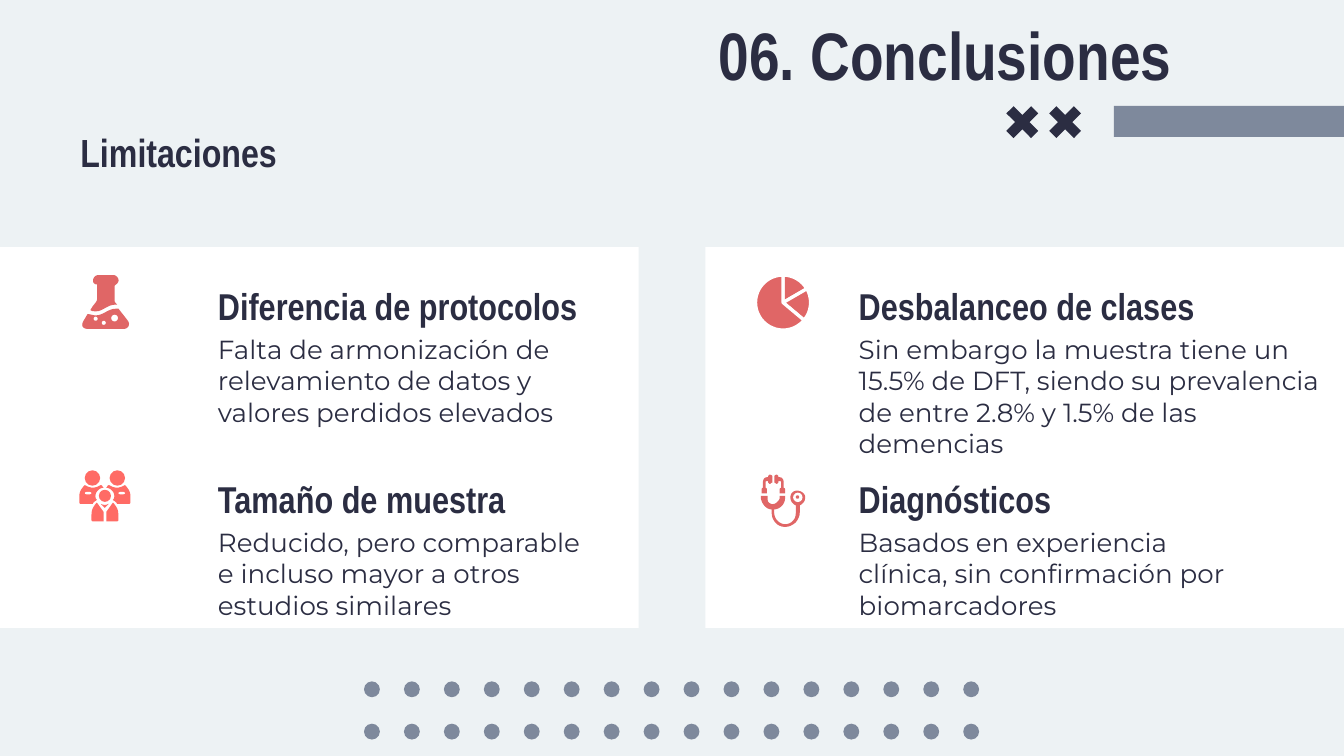
from pptx import Presentation
from pptx.dml.color import RGBColor
from pptx.enum.shapes import MSO_SHAPE
from pptx.enum.text import MSO_ANCHOR, MSO_AUTO_SIZE, PP_ALIGN
from pptx.util import Cm, Pt

PAPER = RGBColor(0xED, 0xF2, 0xF4)
WHITE = RGBColor(0xFF, 0xFF, 0xFF)
GREY = RGBColor(0x7E, 0x89, 0x9C)
NAVY = RGBColor(0x2B, 0x2D, 0x42)
RED = RGBColor(0xE0, 0x66, 0x66)
CORAL = RGBColor(0xFF, 0x6B, 0x65)
HEAD, BODY = "Arial Narrow", "Montserrat"
GRID = 0.0254  # icon grid step in cm
FINE = 10  # outline points per grid step

# Icon outlines on the grid: pairs are corners, sixes are Bezier curves
FLASK_NECK = [(13, 0), (11, 0, 9, 2, 9, 4), (9, 6, 10, 7, 12, 7), (12, 18),
              (12, 20, 10, 21, 7, 26), (8, 27, 10, 27, 11, 27),
              (17, 27, 19, 22, 26, 22), (27, 22), (26, 21, 25, 20, 25, 19),
              (25, 8), (26, 7, 28, 6, 28, 4), (28, 2, 26, 0, 24, 0)]
FLASK_BASE = [(26, 25), (20, 25, 17, 30, 11, 30), (9, 30, 7, 29, 5, 29),
              (2, 34), (0, 37, 1, 40, 5, 40), (32, 40),
              (35, 40, 37, 37, 35, 34), (28, 25)]
BACK_BODY = [(4, 11), (2, 13, 0, 16, 0, 19), (0, 23), (0, 24, 0, 25, 1, 25),
             (10, 25), (10, 24, 12, 23, 13, 22), (12, 21, 12, 20, 12, 19),
             (12, 16, 15, 13, 18, 13), (17, 12, 17, 11, 16, 11),
             (14, 12, 12, 13, 10, 13), (8, 13, 6, 12, 4, 11)]
FRONT_BODY = [(13, 24), (11, 26, 9, 29, 9, 33), (9, 37),
              (9, 38, 10, 38, 10, 38), (18, 38), (18, 31)]
COLLAR = [(16, 25), (19, 28), (22, 25), (20, 26, 18, 26, 16, 25)]
EARPIECE = [(12, 0), (11, 0, 10, 1, 10, 1), (10, 6), (11, 6, 11, 7, 12, 7),
            (12, 7, 13, 6, 13, 6), (13, 5), (14, 5), (15, 5, 15, 5, 15, 6),
            (15, 10), (14, 10, 14, 11, 14, 11), (14, 14), (18, 14), (18, 11),
            (18, 11, 18, 10, 17, 10), (17, 6), (17, 4, 16, 2, 14, 2),
            (13, 2), (13, 1), (13, 1, 12, 0, 12, 0)]
TUBE = [(27, 12), (24, 12, 22, 14, 22, 17), (22, 20, 24, 22, 26, 23),
        (26, 29), (26, 33, 23, 37, 18, 37), (14, 37, 10, 33, 10, 29),
        (10, 26), (14, 26, 18, 22, 18, 18), (18, 16), (14, 16), (14, 18),
        (13, 20, 11, 22, 9, 22), (7, 22, 5, 21, 5, 18), (5, 16), (0, 16),
        (0, 18), (1, 22, 4, 26, 8, 26), (8, 28), (8, 34, 12, 39, 18, 39),
        (24, 39, 29, 34, 29, 28), (29, 23), (31, 22, 33, 20, 33, 17),
        (33, 14, 30, 12, 27, 12)]


def paint(sp, color):
    sp.shadow.inherit = False
    sp.fill.solid()
    sp.fill.fore_color.rgb = color
    sp.line.fill.background()
    return sp


def preset(shapes, kind, x, y, w, h, color):
    return paint(shapes.add_shape(kind, Cm(x), Cm(y), Cm(w), Cm(h)), color)


def dot(shapes, x, y, left, top, w, color, h=None):
    """Ellipse measured on the grid of the icon at x, y."""
    preset(shapes, MSO_SHAPE.OVAL, x + left * GRID, y + top * GRID,
           w * GRID, (h or w) * GRID, color)


def outline(shapes, x, y, path, color, mirror=None):
    """Closed outline; mirror is the width to flip it across."""
    pts = []
    for step in path:
        if len(step) == 2:
            pts.append(step)
            continue
        curve = [pts[-1], step[:2], step[2:4], step[4:]]
        for t in (i / 8 for i in range(1, 9)):
            weights = ((1 - t) ** 3, 3 * t * (1 - t) ** 2, 3 * t * t * (1 - t), t ** 3)
            pts.append(tuple(sum(k * c[axis] for k, c in zip(weights, curve))
                             for axis in (0, 1)))
    if mirror:
        pts = [(mirror - px, py) for px, py in pts]
    pts = [(px * FINE, py * FINE) for px, py in pts]
    fb = shapes.build_freeform(*pts[0], scale=Cm(GRID / FINE))
    fb.add_line_segments(pts[1:], close=True)
    paint(fb.convert_to_shape(Cm(x), Cm(y)), color)


def flask_icon(shapes, x, y):
    for path in (FLASK_NECK, FLASK_BASE):
        outline(shapes, x, y, path, RED)
    for left, top, size in ((9.5, 31, 3), (22.5, 29.5, 5), (15.5, 34, 3)):
        dot(shapes, x, y, left, top, size, WHITE)


def people_icon(shapes, x, y):
    for left, top, size in ((4, 0, 11.5), (22.5, 0, 11.5), (14.5, 14.5, 9)):
        dot(shapes, x, y, left, top, size, CORAL)
    for mirror in (None, 38):
        for path in (BACK_BODY, FRONT_BODY):
            outline(shapes, x, y, path, CORAL, mirror)
    outline(shapes, x, y, COLLAR, CORAL)
    for left in (4, 29):
        dot(shapes, x, y, left, 16, 5, WHITE, 2)


def pie_icon(shapes, x, y):
    for start, end in ((270, 330), (330, 40), (40, 270)):
        sp = preset(shapes, MSO_SHAPE.PIE, x, y, 1.04, 1.04, RED)
        sp.adjustments[0], sp.adjustments[1] = start * 0.6, end * 0.6
        sp.line.color.rgb = WHITE
        sp.line.width = Pt(1.75)


def stethoscope_icon(shapes, x, y):
    for mirror in (None, 18.5):
        outline(shapes, x, y, EARPIECE, RED, mirror)
    outline(shapes, x, y, TUBE, RED)
    dot(shapes, x, y, 24, 13.5, 7, WHITE)
    dot(shapes, x, y, 26, 15.5, 2.5, RED)


def write(sp, text, size, font, bold=False, spacing=None):
    tf = sp.text_frame
    tf.word_wrap = True
    tf.auto_size = MSO_AUTO_SIZE.NONE
    tf.vertical_anchor = MSO_ANCHOR.TOP
    tf.margin_left = tf.margin_right = tf.margin_top = tf.margin_bottom = Cm(0.25)
    p = tf.paragraphs[0]
    p.alignment = PP_ALIGN.LEFT
    if spacing:
        p.line_spacing = spacing
    r = p.add_run()
    r.text = text
    r.font.size, r.font.name, r.font.bold = Pt(size), font, bold
    r.font.color.rgb = NAVY


def text_box(s, x, y, w, h, *style, **options):
    write(s.shapes.add_textbox(Cm(x), Cm(y), Cm(w), Cm(h)), *style, **options)


def header(s, x, y, w, h):
    title = s.shapes.title
    title.left, title.top, title.width, title.height = Cm(x), Cm(y), Cm(w), Cm(h)
    write(title, "06. Conclusiones", 36, HEAD, bold=True)
    # Bar and crosses under the title
    preset(s.shapes, MSO_SHAPE.RECTANGLE, x + 7.72, y + 2, 4.35, 0.59, GREY)
    for dx in (5.66, 6.47):
        sp = preset(s.shapes, MSO_SHAPE.CROSS, x + dx, y + 1.98, 0.66, 0.66, NAVY)
        sp.adjustments[0] = 0.356
        sp.rotation = 45


def card(s, x, y, w, h, text_x, entries):
    preset(s.shapes, MSO_SHAPE.RECTANGLE, x, y, w, h, WHITE)
    for row, (icon, dx, dy, text_w, heading, body) in enumerate(entries):
        top = y + 0.44 + row * 3.65
        text_box(s, x + text_x, top, text_w, 1.24, heading, 20, HEAD, bold=True)
        text_box(s, x + text_x, top + 0.94, text_w, 2.2, body, 14, BODY)
        icon(s.shapes.add_group_shape().shapes, x + dx, y + dy)


def dot_rows(s, x, y, columns=16, rows=2):
    for row in range(rows):
        for col in range(columns):
            preset(s.shapes, MSO_SHAPE.OVAL, x + col * 0.755, y + row * 0.8,
                   0.3, 0.3, GREY)


def main():
    prs = Presentation()
    prs.slide_width, prs.slide_height = Cm(25.4), Cm(14.29)
    s = prs.slides.add_slide(prs.slide_layouts[5])
    s.background.fill.solid()
    s.background.fill.fore_color.rgb = PAPER

    header(s, 13.33, 0, 11, 1.73)
    text_box(s, 1.27, 1.73, 9.93, 2.39, "Limitaciones", 21, HEAD, bold=True, spacing=1.5)
    card(s, 0, 4.67, 12.07, 7.2, 3.87, [
        (flask_icon, 1.53, 0.53, 7.95, "Diferencia de protocolos",
         "Falta de armonización de relevamiento de datos y valores perdidos elevados"),
        (people_icon, 1.5, 4.22, 7.57, "Tamaño de muestra",
         "Reducido, pero comparable e incluso mayor a otros estudios similares")])
    card(s, 13.33, 4.67, 12.07, 7.2, 2.65, [
        (pie_icon, 0.95, 0.53, 9.25, "Desbalanceo de clases",
         "Sin embargo la muestra tiene un 15.5% de DFT, siendo su prevalencia "
         "de entre 2.8% y 1.5% de las demencias"),
        (stethoscope_icon, 1.05, 4.3, 7.57, "Diagnósticos",
         "Basados en experiencia clínica, sin confirmación por biomarcadores")])
    dot_rows(s, 6.88, 12.88)
    prs.save("out.pptx")


if __name__ == "__main__":
    main()
